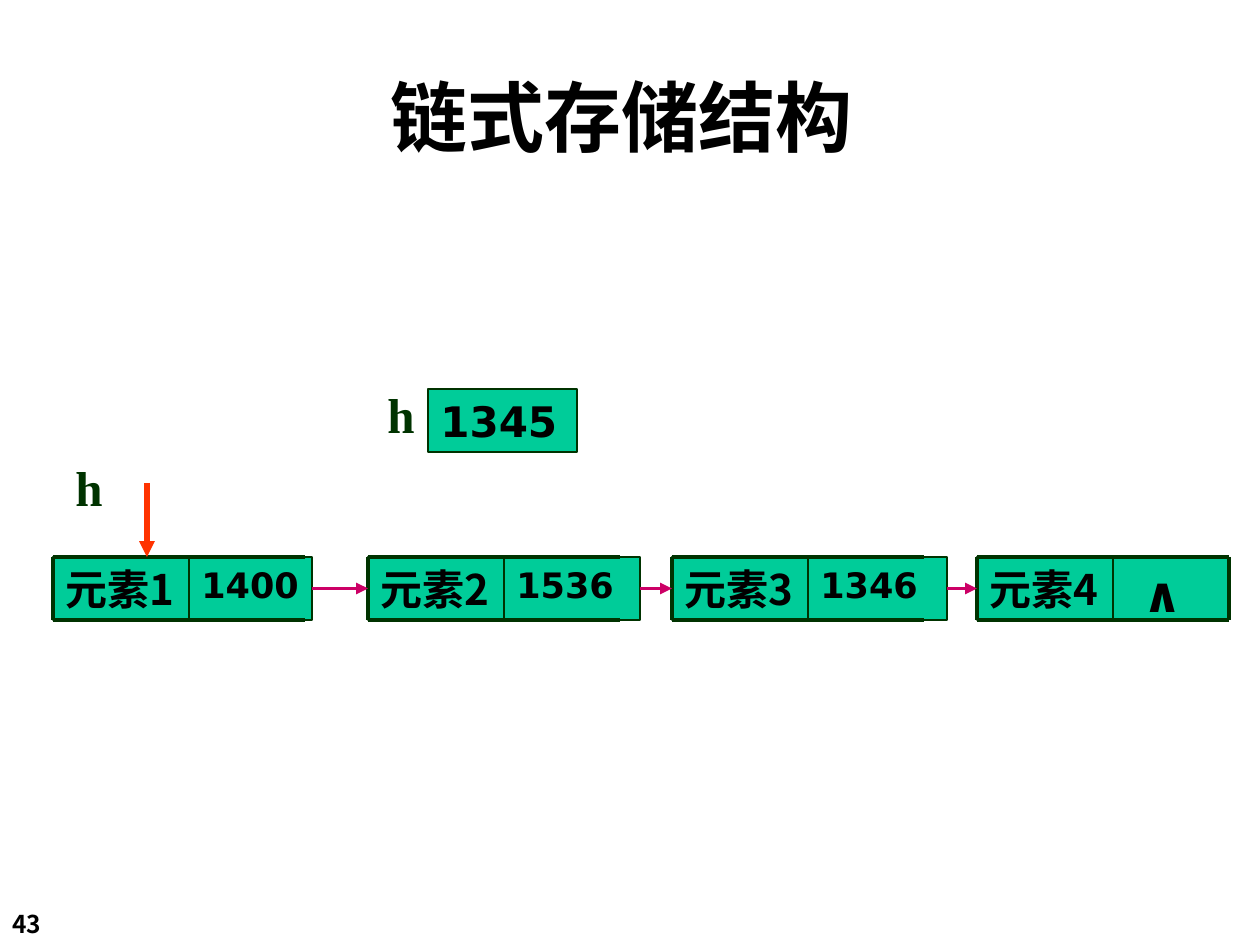
from pptx import Presentation
from pptx import util as u
from pptx.dml.color import RGBColor
from pptx.enum import shapes, text
from lxml import etree

PX = 914400 // 126
NS = "{http://schemas.openxmlformats.org/drawingml/2006/main}"
CJK, SANS, SERIF = "Noto Sans CJK SC", "DejaVu Sans", "Times New Roman"
GREEN, DARK, BLACK = "00CC99", "003300", "000000"
hue = RGBColor.from_string

prs = Presentation()
prs.slide_width, prs.slide_height = u.Inches(10), u.Inches(7.5)
slide = prs.slides.add_slide(prs.slide_layouts[6])
parts = slide.shapes


def label(x, y, w, h, words, size, font, color=BLACK, fill=None, wrap=False):
    """Add bold text, in a filled cell or in a plain text box."""
    spot = [n * PX for n in (x, y, w, h)]
    if fill:
        box = parts.add_shape(shapes.MSO_SHAPE.RECTANGLE, *spot)
        box.shadow.inherit = False
        box.fill.solid()
        box.fill.fore_color.rgb = hue(fill)
        box.line.color.rgb = hue(DARK)
        box.line.width = u.Pt(0.75)
    else:
        box = parts.add_textbox(*spot)
    frame = box.text_frame
    frame.word_wrap = wrap
    frame.vertical_anchor = text.MSO_ANCHOR.TOP
    para = frame.paragraphs[0]
    para.alignment = text.PP_ALIGN.LEFT
    run = para.add_run()
    run.text = words
    run.font.size, run.font.bold = u.Pt(size), True
    run.font.color.rgb = hue(color)
    run.font.name = font
    etree.SubElement(run.font._element, NS + "ea", typeface=font)
    return box


def line(x1, y1, x2, y2, color, width, arrow=False):
    """Add a straight line, with an arrowhead at its end if asked."""
    rule = parts.add_connector(shapes.MSO_CONNECTOR.STRAIGHT,
                               *[n * PX for n in (x1, y1, x2, y2)])
    rule.line.color.rgb = hue(color)
    rule.line.width = u.Pt(width)
    if arrow:
        etree.SubElement(rule.line._get_or_add_ln(), NS + "tailEnd", type="triangle")
    etree.SubElement(rule._element.spPr, NS + "effectLst")
    return rule


# Title and page number
title = label(53, 53, 1155, 126, "链式存储结构 ", 44, CJK, wrap=True)
title.text_frame.vertical_anchor = text.MSO_ANCHOR.MIDDLE
title.text_frame.paragraphs[0].alignment = text.PP_ALIGN.CENTER
label(0, 903, 105, 43, "43", 14, CJK, wrap=True)

# Linked nodes: left edge, width of link cell, link text, link size
TOP, HIGH, DATA, LONG = 557, 63, 136, 252
LOW = TOP + HIGH
nodes = [(53, 123, "1400", 20), (368, 136, "1536", 20),
         (672, 139, "1346", 20), (977, 116, " ∧", 28)]
cells = []
for i, (x, wide, link, size) in enumerate(nodes, 1):
    mid = x + DATA
    tail = label(mid, TOP, wide, HIGH, link, size, SANS, fill=GREEN)
    head = label(x, TOP, DATA, HIGH, f"元素{i}", 24, CJK, fill=GREEN)
    cells.append((head, tail))
    for y in (TOP, LOW):
        line(x, y, x + LONG, y, DARK, 2.25)
    line(x, TOP, x, LOW, DARK, 2.25)
    line(mid, TOP, mid, LOW, DARK, 1)
line(x + LONG, TOP, x + LONG, LOW, DARK, 2.25)

# Arrows from each link cell to the next node
for (_, tail), (head, _) in zip(cells, cells[1:]):
    arrow = line(0, 0, 1, 1, "CC0066", 2.25, arrow=True)
    arrow.begin_connect(tail, 3)
    arrow.end_connect(head, 1)

# Head pointer: its stored address and its arrow
label(428, 389, 149, HIGH, "1345", 24, SANS, fill=GREEN)
for x, y in ((375, 378), (63, 451)):
    label(x, y, 52, 72, "h", 28, SERIF, DARK)
line(147, 483, 147, TOP, "FF3300", 3, arrow=True)

prs.save("out.pptx")
